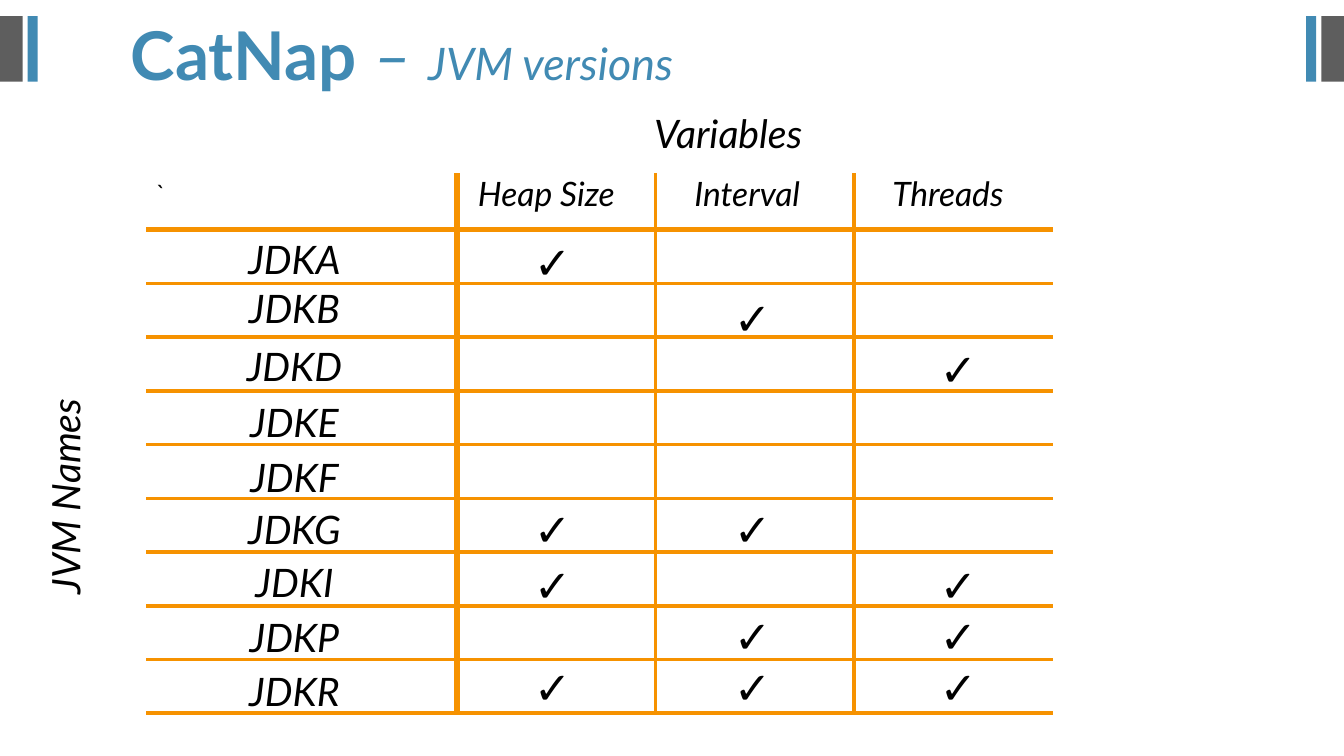
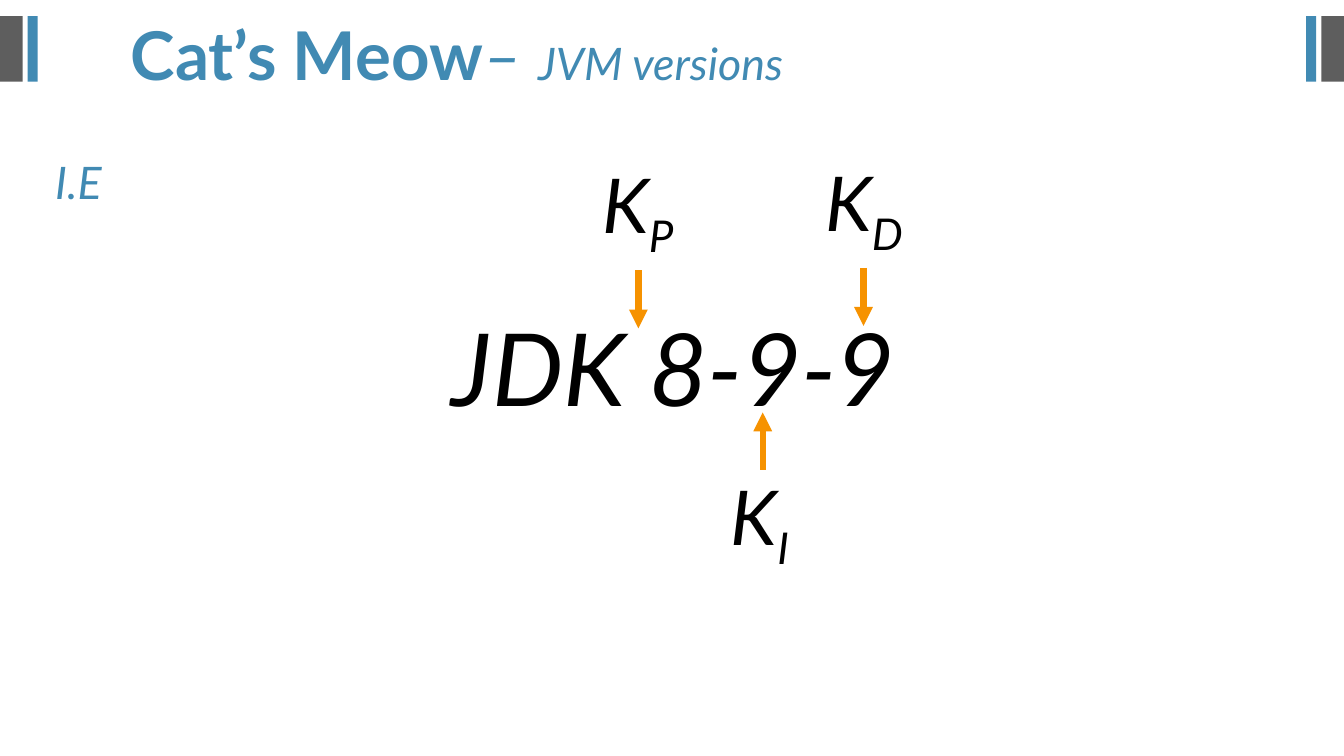
from pptx import Presentation
from pptx import util as u
from pptx.dml.color import RGBColor
from pptx.enum import shapes, text
from pptx.oxml import parse_xml
from pptx.oxml.ns import nsdecls, qn

HUES = {"blue": "418AB3", "gray": "5E5E5E", "gold": "F69200", "black": "000000"}
COLS, ROWS = 160, 90
UNIT = u.Inches(1 / 12)
MID = text.PP_ALIGN.CENTER
LEFT = text.PP_ALIGN.LEFT


def hue(name):
    return RGBColor.from_string(HUES[name])


class Deck:
    """Style and current slide; lengths are columns and rows of the grid."""

    def __init__(self):
        self.prs = Presentation()
        self.prs.slide_width = COLS * UNIT
        self.prs.slide_height = ROWS * UNIT
        self.slide = None

    def grid(self, *spans):
        return [round(span * UNIT) for span in spans]

    def page(self, head, dash="– "):
        """Start a slide with its side bars and two-part title."""
        self.slide = self.prs.slides.add_slide(self.prs.slide_layouts[6])
        for left, wide, fill in ((0, 2.7, "gray"), (3.3, 1.2, "blue")):
            for x in (left, COLS - left - wide):
                self.bar(x, 1.92, wide, 7.8, fill)
        runs = [("\t" + head, dict(size=48, bold=True)),
                (dash, dict(size=48, italic=True)),
                ("JVM versions", dict(size=32, italic=True))]
        self.label(runs, 8.4, 2.8, 129.8, 9.1, color="blue", italic=None,
                   align=LEFT, space=0.8)

    def bar(self, x, y, w, h, fill):
        bar = self.slide.shapes.add_shape(
            shapes.MSO_SHAPE.RECTANGLE, *self.grid(x, y, w, h))
        bar.shadow.inherit = False
        bar.fill.solid()
        bar.fill.fore_color.rgb = hue(fill)
        bar.line.fill.background()

    def label(self, runs, x, y, w, h, size=None, color="black", bold=None,
              italic=True, align=MID, space=None, turn=False):
        """Add a text box; runs is a string or (string, font settings) pairs."""
        box = self.slide.shapes.add_textbox(*self.grid(x, y, w, h))
        frame = box.text_frame
        frame.word_wrap = True
        if turn:
            box.element.find(".//" + qn("a:bodyPr")).set("vert", "vert270")
        para = frame.paragraphs[0]
        para.alignment = align
        if space:
            para.line_spacing = space
        self.font(para.font, size, color, bold, italic)
        for words, style in [(runs, {})] if isinstance(runs, str) else runs:
            run = para.add_run()
            run.text = words
            for key, value in style.items():
                if key == "base":
                    run.font._element.set("baseline", str(value * 1000))
                else:
                    setattr(run.font, key, u.Pt(value) if key == "size" else value)

    def font(self, font, size, color, bold=None, italic=None, name="Lato"):
        font.name, font.bold, font.italic = name, bold, italic
        font.color.rgb = hue(color)
        if size:
            font.size = u.Pt(size)

    def arrow(self, x, start, end):
        line = self.slide.shapes.add_connector(
            shapes.MSO_CONNECTOR.STRAIGHT, *self.grid(x, start, x, end))
        line.line.color.rgb = hue("gold")
        line.line.width = u.Pt(4.5)
        props = line.element.spPr
        props.find(qn("a:ln")).append(
            parse_xml(f'<a:tailEnd {nsdecls("a")} type="triangle"/>'))
        props.append(parse_xml(f'<a:effectLst {nsdecls("a")}/>'))

    def table(self, x, y, wides, highs):
        """Add a ruled table without an outer left, top or right edge."""
        last = len(wides) - 1
        table = self.slide.shapes.add_table(
            len(highs), len(wides),
            *self.grid(x, y, sum(wides), sum(highs))).table
        table.first_row = table.horz_banding = False
        for col, wide in zip(table.columns, self.grid(*wides)):
            col.width = wide
        for row, high in zip(table.rows, self.grid(*highs)):
            row.height = high
        for r in range(len(highs)):
            for c in range(len(wides)):
                cell = table.cell(r, c)
                cell.fill.background()
                self.edges(cell, {
                    "L": (0, 4.5, 3)[min(c, 2)],
                    "R": 4.5 if c == 0 else 3 if c < last else 0,
                    "T": (0, 4.5, 3)[min(r, 2)],
                    "B": 3 if r else 4.5})
        return table

    def edges(self, cell, sides):
        """Set border widths in points by side; zero means no line."""
        props = cell._tc.get_or_add_tcPr()
        for spot, (side, width) in enumerate(sides.items()):
            fill = (f'<a:solidFill><a:srgbClr val="{HUES["gold"]}"/></a:solidFill>'
                    if width else "<a:noFill/>")
            props.insert(spot, parse_xml(
                f'<a:ln{side} {nsdecls("a")} w="{u.Pt(width)}">{fill}</a:ln{side}>'))


def matrix(deck):
    deck.page("CatNap ")
    table = deck.table(17.4, 20.6, [37] + [23.65] * 3, [6.75] + [6.4] * 9)
    corner = table.cell(0, 0).text_frame.paragraphs[0]
    corner.text = "`"
    deck.font(corner.font, 18, "black", name="Calibri")

    deck.label("JVM Names", 4.3, 41.4, 8, 35.4, 28, turn=True)
    deck.label("Variables", 69, 12.4, 35.4, 8, 28)
    for i, head in enumerate(("Heap Size", "Interval", "Threads")):
        deck.label(head, 47.4 + 23.9 * i, 20, 35.3, 6, 24)

    spots = (57.8, 81.6, 106.1)
    # Name, top of name, top of ticks, ticked columns
    rows = (("JDKA", 27.4, 27.4, [0]), ("JDKB", 33.2, 34, [1]),
            ("JDKD", 40.1, 40.1, [2]), ("JDKE", 46.8, 0, []),
            ("JDKF", 53.4, 0, []), ("JDKG", 59.6, 59.1, [0, 1]),
            ("JDKI", 65.9, 65.8, [0, 2]), ("JDKP", 72.4, 71.9, [1, 2]),
            ("JDKR", 78.8, 78, [0, 1, 2]))
    for name, top, tick, cols in rows:
        deck.label(name, 17.4, top, 35.3, 6.8, 28)
        for c in cols:
            deck.label("✓", spots[c], tick, 16, 7.7, 32, bold=True, italic=None)


def sample(deck):
    deck.page("Cat’s Meow")
    deck.label("JDK 8-9-9", 40, 35.8, 80.4, 15.7, 72)
    marks = (("P", 58.3, 18.2, 76, 32.2, 39.1),
             ("I", 72.8, 55.4, 90.8, 55.9, 49.1),
             ("D", 85.2, 18, 102.8, 31.9, 38.8))
    for sub, x, y, stem, start, end in marks:
        deck.label([("K", {}), (sub, dict(base=-25))], x, y, 35.3, 12.1, 54)
        deck.arrow(stem, start, end)
    deck.label("I.E", 5.4, 11.4, 129.8, 12.4, 32, "blue", align=LEFT, space=2.0)


def main():
    deck = Deck()
    matrix(deck)
    sample(deck)
    deck.prs.save("out.pptx")


if __name__ == "__main__":
    main()
